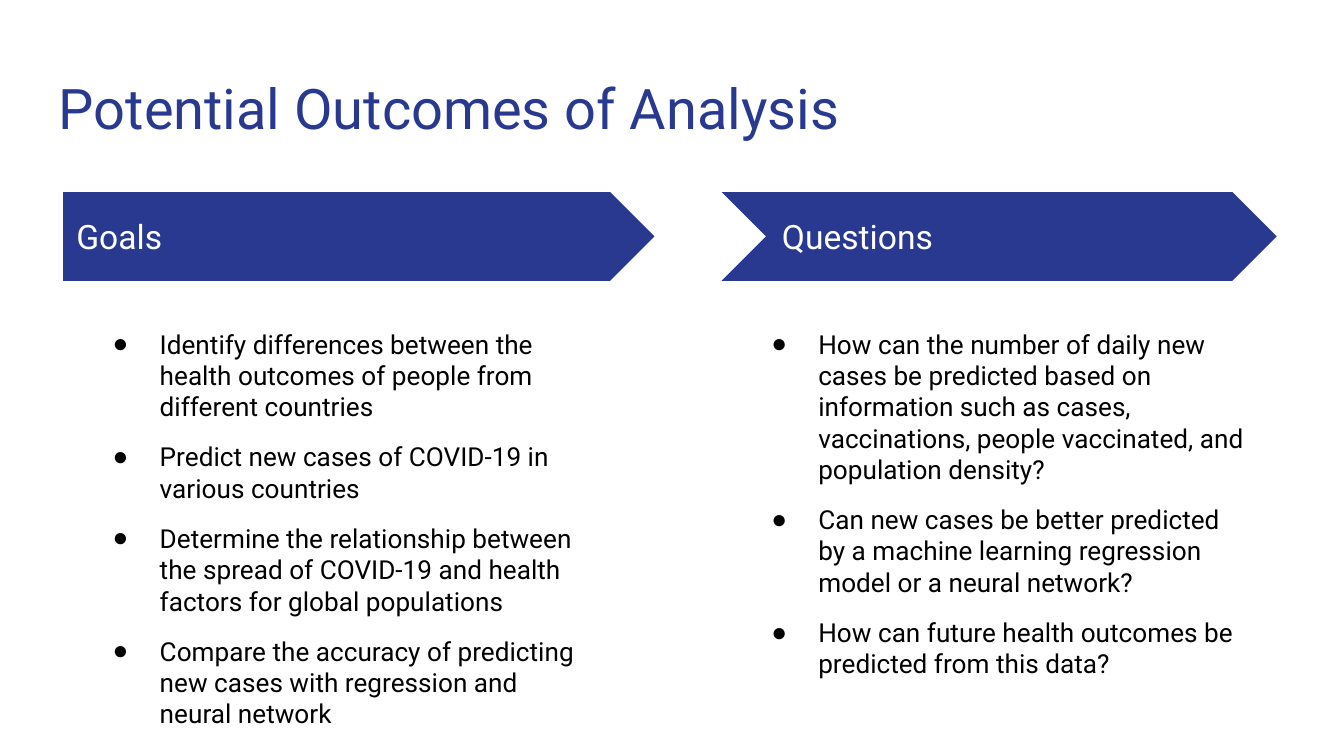
from dataclasses import dataclass

from lxml import etree
from pptx import Presentation
from pptx import util as u
from pptx.dml.color import RGBColor
from pptx.enum import shapes, text
from pptx.oxml import ns

NAVY, WHITE, BLACK = "2A3990", "FFFFFF", "000000"
SLIDE_WIDTH = u.Inches(10)
SLIDE_HEIGHT = SLIDE_WIDTH * 9 // 16
BANNER_TOP, BANNER_HEIGHT = 1.43, 0.66
HEADING_HEIGHT = 0.34
LIST_TOP, LIST_WIDTH = 2.34, 3.89
PARAGRAPH_GAP = 10


@dataclass
class Column:
    heading: str
    banner: shapes.MSO_SHAPE
    banner_left: float
    banner_width: float
    heading_left: float
    list_left: float
    list_height: float
    points: list[str]


COLUMNS = [
    Column("Goals", shapes.MSO_SHAPE.PENTAGON, 0.47, 4.4, 0.47, 0.59, 3.22, [
        "Identify differences between the health outcomes of people from different countries",
        "Predict new cases of COVID-19 in various countries",
        "Determine the relationship between the spread of COVID-19 and health factors "
        "for global populations",
        "Compare the accuracy of predicting new cases with regression and neural network",
    ]),
    Column("Questions", shapes.MSO_SHAPE.CHEVRON, 5.37, 4.13, 5.72, 5.49, 2.84, [
        "How can the number of daily new cases be predicted based on information such as "
        "cases, vaccinations, people vaccinated, and population density?",
        "Can new cases be better predicted by a machine learning regression model "
        "or a neural network?",
        "How can future health outcomes be predicted from this data?",
    ]),
]


def color(value: str) -> RGBColor:
    return RGBColor.from_string(value)


def add_bullet(paragraph) -> None:
    properties = paragraph._p.get_or_add_pPr()
    properties.set("marL", str(u.Inches(0.5)))
    properties.set("indent", str(u.Inches(-0.35)))
    bullet_color = etree.SubElement(properties, ns.qn("a:buClr"))
    etree.SubElement(bullet_color, ns.qn("a:srgbClr"), val=BLACK)
    etree.SubElement(properties, ns.qn("a:buFont"), typeface="Arial")
    etree.SubElement(properties, ns.qn("a:buChar"), char="●")


def add_words(slide, box: tuple, lines: list[str], size: int, ink: str,
              anchor=text.MSO_ANCHOR.TOP, bulleted: bool = False) -> None:
    frame = slide.shapes.add_textbox(*map(u.Inches, box)).text_frame
    margins = {f"margin_{side}": u.Inches(0.1) for side in ("left", "top", "right", "bottom")}
    for name, value in {"word_wrap": True, "vertical_anchor": anchor, **margins}.items():
        setattr(frame, name, value)
    for index, line in enumerate(lines):
        paragraph = frame.add_paragraph() if index else frame.paragraphs[0]
        run = paragraph.add_run()
        run.text = line
        for name, value in {"size": u.Pt(size), "name": "Roboto"}.items():
            setattr(run.font, name, value)
        run.font.color.rgb = color(ink)
        if bulleted:
            paragraph.space_before = u.Pt(PARAGRAPH_GAP if index else 0)
            add_bullet(paragraph)


def add_column(slide, column: Column) -> None:
    # Arrow banner
    banner = slide.shapes.add_shape(column.banner, *map(u.Inches, (
        column.banner_left, BANNER_TOP, column.banner_width, BANNER_HEIGHT)))
    banner.adjustments[0] = 0.5
    banner.shadow.inherit = False
    banner.fill.solid()
    banner.fill.fore_color.rgb = color(NAVY)
    banner.line.fill.background()

    # Heading centred on the banner's height
    heading_top = BANNER_TOP + (BANNER_HEIGHT - HEADING_HEIGHT) / 2
    add_words(slide, (column.heading_left, heading_top, 2.47, HEADING_HEIGHT),
              [column.heading], 18, WHITE, text.MSO_ANCHOR.MIDDLE)

    # Bulleted points
    add_words(slide, (column.list_left, LIST_TOP, LIST_WIDTH, column.list_height),
              column.points, 14, BLACK, bulleted=True)


def main() -> None:
    deck = Presentation()
    deck.slide_width, deck.slide_height = SLIDE_WIDTH, SLIDE_HEIGHT
    slide = deck.slides.add_slide(deck.slide_layouts[6])
    slide.background.fill.solid()
    slide.background.fill.fore_color.rgb = color(WHITE)

    # Title
    add_words(slide, (0.34, 0.45, 9.32, 0.66), ["Potential Outcomes of Analysis"], 30, NAVY)

    # Goals and questions
    for column in COLUMNS:
        add_column(slide, column)
    deck.save("out.pptx")


main()
